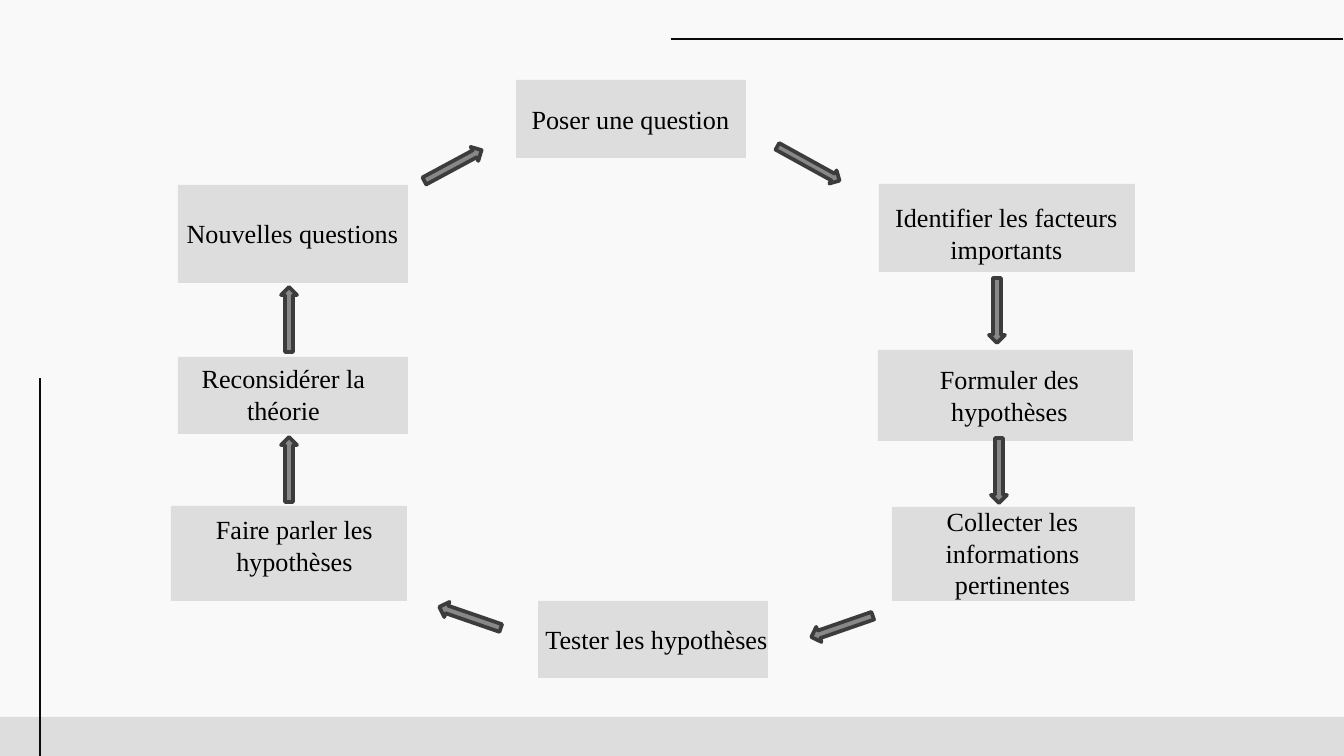
from dataclasses import dataclass

from lxml.etree import SubElement
from pptx import Presentation
from pptx.dml.color import RGBColor
from pptx.enum.shapes import MSO_CONNECTOR as Connector, MSO_SHAPE as Shape
from pptx.enum.text import MSO_ANCHOR as Anchor, MSO_AUTO_SIZE as AutoSize, PP_ALIGN as Align
from pptx.oxml.ns import qn
from pptx.util import Emu, Inches, Pt

SLIDE_WIDTH, SLIDE_HEIGHT = 1344, 756
EMU_PER_PX = Inches(10) / SLIDE_WIDTH


@dataclass(frozen=True)
class Theme:
    background: str = "F9F9F9"
    panel: str = "DDDDDD"
    rule: str = "0A0A0A"
    text: str = "000000"
    arrow_fill: str = "878887"
    arrow_line: str = "3B3C3B"
    font: str = "Times New Roman"
    text_size: float = 14
    rule_width: float = 0.75
    arrow_line_width: float = 2


THEME = Theme()

# Label, panel (left, top, width, height), text area (left, top, width, height)
STEPS = [
    ("Poser une question", (516, 80, 230, 78), (502, 97, 257, 46)),
    ("Identifier les facteurs importants", (879, 184, 256, 88), (878, 195, 257, 77)),
    ("Formuler des hypothèses", (878, 350, 255, 91), (875, 357, 269, 77)),
    ("Collecter les informations pertinentes", (892, 507, 243, 94), (891, 499, 243, 109)),
    ("Tester les hypothèses", (538, 601, 230, 77), (528, 617, 257, 46)),
    ("Faire parler les hypothèses", (171, 506, 236, 95), (163, 507, 263, 77)),
    ("Reconsidérer la théorie", (178, 357, 230, 77), (155, 356, 257, 77)),
    ("Nouvelles questions", (178, 185, 230, 98), (164, 211, 257, 46)),
]

# Box before rotation (left, top, width, height), clockwise turn from pointing down
ARROWS = [
    ((801, 128, 15, 71), 298.9),
    ((989, 278, 16, 65), 0),
    ((991, 438, 16, 65), 0),
    ((834, 594, 16, 65), 70.9),
    ((462, 585, 16, 65), 109),
    ((281, 437, 16, 65), 180),
    ((281, 287, 16, 65), 180),
    ((445, 133, 16, 65), 241.7),
]


def px(*lengths):
    return [Emu(round(length * EMU_PER_PX)) for length in lengths]


def color(value):
    return RGBColor.from_string(value)


def add_filled_shape(page, kind, bounds, fill):
    shape = page.shapes.add_shape(kind, *px(*bounds))
    shape.shadow.inherit = False
    shape.fill.solid()
    shape.fill.fore_color.rgb = color(fill)
    shape.line.fill.background()
    return shape


def add_rule(page, *ends):
    rule = page.shapes.add_connector(Connector.STRAIGHT, *px(*ends))
    rule.line.color.rgb = color(THEME.rule)
    rule.line.width = Pt(THEME.rule_width)
    SubElement(rule._element.spPr, qn("a:effectLst"))


def add_label(page, text, bounds):
    box = page.shapes.add_textbox(*px(*bounds))
    frame = box.text_frame
    frame.word_wrap = True
    frame.auto_size = AutoSize.SHAPE_TO_FIT_TEXT
    frame.vertical_anchor = Anchor.TOP
    para = frame.paragraphs[0]
    para.alignment = Align.CENTER
    span = para.add_run()
    span.text = text
    span.font.name = THEME.font
    span.font.size = Pt(THEME.text_size)
    span.font.color.rgb = color(THEME.text)


def add_step(page, text, panel_bounds, text_bounds):
    add_filled_shape(page, Shape.RECTANGLE, panel_bounds, THEME.panel)
    add_label(page, text, text_bounds)


def add_arrow(page, bounds, rotation):
    arrow = add_filled_shape(page, Shape.DOWN_ARROW, bounds, THEME.arrow_fill)
    arrow.rotation = rotation
    arrow.line.color.rgb = color(THEME.arrow_line)
    arrow.line.width = Pt(THEME.arrow_line_width)


def add_backdrop(page):
    page.background.fill.solid()
    page.background.fill.fore_color.rgb = color(THEME.background)
    add_filled_shape(page, Shape.RECTANGLE, (0, 717, SLIDE_WIDTH, 39), THEME.panel)
    add_rule(page, 40, SLIDE_HEIGHT, 40, 378)
    add_rule(page, 671, 39, 1343, 39)


def main():
    deck = Presentation()
    deck.slide_width, deck.slide_height = px(SLIDE_WIDTH, SLIDE_HEIGHT)
    page = deck.slides.add_slide(deck.slide_layouts[6])
    add_backdrop(page)
    for step in STEPS:
        add_step(page, *step)
    for arrow in ARROWS:
        add_arrow(page, *arrow)
    deck.save("out.pptx")


if __name__ == "__main__":
    main()
